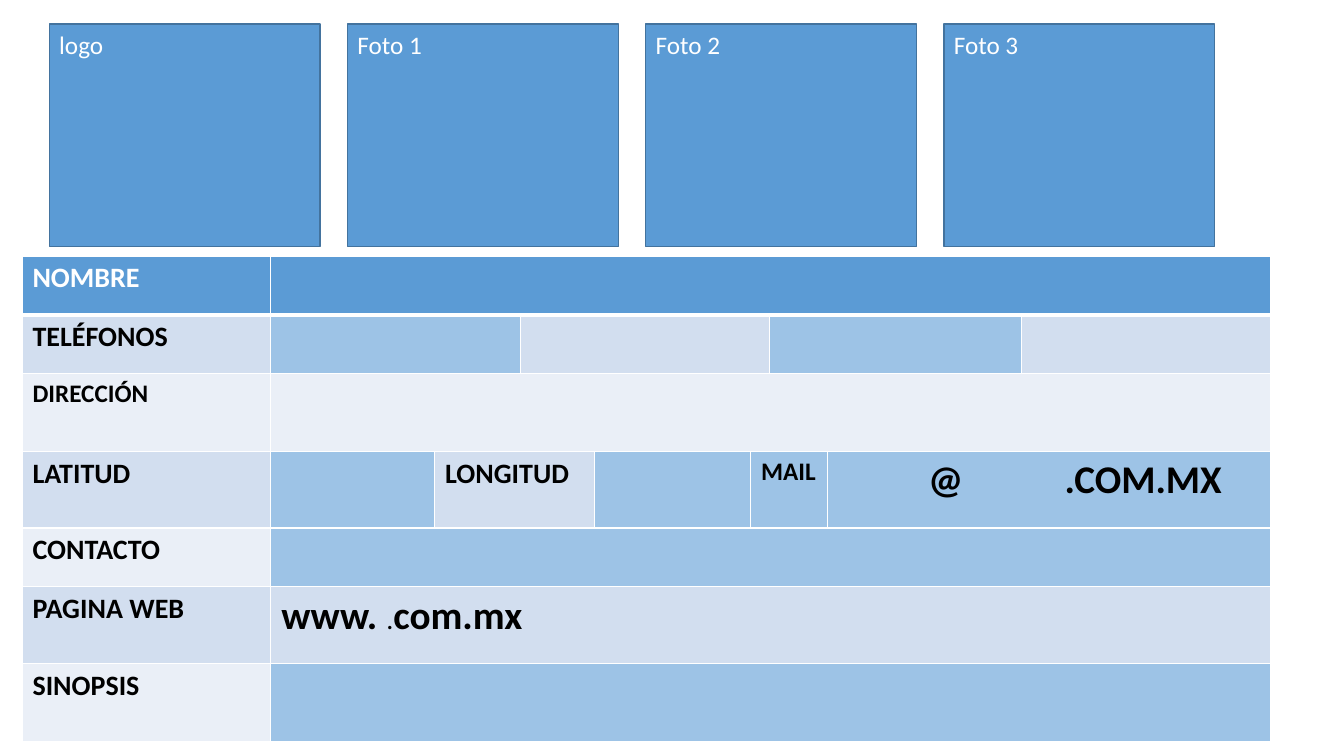
from dataclasses import dataclass

from lxml import etree
from pptx import Presentation
from pptx.dml.color import RGBColor
from pptx.enum.shapes import MSO_SHAPE
from pptx.enum.text import MSO_ANCHOR, PP_ALIGN
from pptx.oxml.ns import qn
from pptx.util import Emu, Pt

RECTANGLE = MSO_SHAPE.RECTANGLE
TOP = MSO_ANCHOR.TOP
LEFT = PP_ALIGN.LEFT
EMU_PER_PX = 9525


@dataclass(frozen=True)
class Theme:
    font: str = "Calibri"
    white: str = "FFFFFF"
    black: str = "000000"
    blue: str = "5B9BD5"
    outline: str = "43739E"
    field: str = "9DC3E6"
    band: str = "D2DEEF"
    pale: str = "EAEFF7"
    small: int = 18
    label: int = 20
    large: int = 28
    thin: int = 1
    thick: int = 3


@dataclass(frozen=True)
class Span:
    text: str
    size: int
    bold: bool = True
    color: str = Theme.black


@dataclass(frozen=True)
class Field:
    """A table cell covering one or more grid columns."""
    fill: str
    spans: tuple[Span, ...] = ()
    columns: int = 1
    inset: int = 10
    tab: int = 0


THEME = Theme()
PAGE_SIZE = (1280, 720)
PHOTO_LABELS = ("logo", "Foto 1", "Foto 2", "Foto 3")
PHOTO_LEFT, PHOTO_TOP, PHOTO_WIDTH, PHOTO_HEIGHT, PHOTO_PITCH = 47, 23, 258, 212, 284
TABLE_LEFT, TABLE_TOP = 21, 244
COLUMN_WIDTHS = (237, 156, 82, 70, 149, 18, 55, 185, 237)
ROW_HEIGHTS = (56, 56, 74, 73, 56, 73, 74)


def px(length: int) -> Emu:
    return Emu(length * EMU_PER_PX)


def label(text: str, fill: str, size: int = THEME.label,
          color: str = THEME.black, columns: int = 1) -> Field:
    return Field(fill, (Span(text, size, color=color),), columns)


def wide(fill: str, *spans: Span) -> Field:
    """A field that fills the row to the right of its label."""
    return Field(fill, spans, len(COLUMN_WIDTHS) - 1)


MAIL = Field(
    THEME.field,
    (Span("@", THEME.large), Span("\t", THEME.small, False), Span(".COM.MX", THEME.large)),
    columns=2, inset=96, tab=130,
)
WEB = wide(
    THEME.band,
    Span("www. ", THEME.large), Span(".", THEME.label, False), Span("com.mx", THEME.large),
)
ROWS = (
    (label("NOMBRE", THEME.blue, color=THEME.white), wide(THEME.blue)),
    (label("TELÉFONOS", THEME.band), Field(THEME.field, columns=2),
     Field(THEME.band, columns=3), Field(THEME.field, columns=2), Field(THEME.band)),
    (label("DIRECCIÓN", THEME.pale, THEME.small), wide(THEME.pale)),
    (label("LATITUD", THEME.band), Field(THEME.field),
     label("LONGITUD", THEME.band, columns=2), Field(THEME.field),
     label("MAIL", THEME.field, THEME.small, columns=2), MAIL),
    (label("CONTACTO", THEME.pale), wide(THEME.field)),
    (label("PAGINA WEB", THEME.band), WEB),
    (label("SINOPSIS", THEME.pale), wide(THEME.field)),
)


def add_span(para, span: Span) -> None:
    run = para.add_run()
    run.text = span.text
    run.font.name = THEME.font
    run.font.size = Pt(span.size)
    run.font.bold = span.bold
    run.font.color.rgb = RGBColor.from_string(span.color)


def add_photo_box(page, index: int, text: str) -> None:
    left = PHOTO_LEFT + index * PHOTO_PITCH
    box = page.shapes.add_shape(
        RECTANGLE, px(left), px(PHOTO_TOP), px(PHOTO_WIDTH), px(PHOTO_HEIGHT))
    box.shadow.inherit = False
    box.fill.solid()
    box.fill.fore_color.rgb = RGBColor.from_string(THEME.blue)
    box.line.color.rgb = RGBColor.from_string(THEME.outline)
    box.line.width = Pt(THEME.thin)
    box.text_frame.word_wrap = True
    box.text_frame.vertical_anchor = TOP
    para = box.text_frame.paragraphs[0]
    para.alignment = LEFT
    add_span(para, Span(text, THEME.small, False, THEME.white))


def set_borders(cell, row: int) -> None:
    """White rules, thicker below the heading row."""
    properties = cell._tc.get_or_add_tcPr()
    top = THEME.thick if row == 1 else THEME.thin
    bottom = THEME.thick if row == 0 else THEME.thin
    sides = {"lnL": THEME.thin, "lnR": THEME.thin, "lnT": top, "lnB": bottom}
    for side, width in sides.items():
        line = etree.SubElement(properties, qn(f"a:{side}"), w=str(Pt(width)))
        fill = etree.SubElement(line, qn("a:solidFill"))
        etree.SubElement(fill, qn("a:srgbClr"), val=THEME.white)


def add_tab_stop(para, position: int) -> None:
    stops = etree.SubElement(para._p.get_or_add_pPr(), qn("a:tabLst"))
    etree.SubElement(stops, qn("a:tab"), pos=str(px(position)), algn="l")


def fill_field(table, row: int, column: int, field: Field) -> None:
    last = column + field.columns - 1
    for position in range(column, last + 1):
        cell = table.cell(row, position)
        set_borders(cell, row)
        cell.fill.solid()
        cell.fill.fore_color.rgb = RGBColor.from_string(field.fill)
    cell = table.cell(row, column)
    if last > column:
        cell.merge(table.cell(row, last))
    cell.margin_left = px(field.inset)
    cell.vertical_anchor = TOP
    para = cell.text_frame.paragraphs[0]
    if field.tab:
        add_tab_stop(para, field.tab)
    for span in field.spans:
        add_span(para, span)


def add_record_table(page) -> None:
    table = page.shapes.add_table(
        len(ROW_HEIGHTS), len(COLUMN_WIDTHS), px(TABLE_LEFT), px(TABLE_TOP),
        px(sum(COLUMN_WIDTHS)), px(sum(ROW_HEIGHTS))).table
    table.horz_banding = False
    for column, width in zip(table.columns, COLUMN_WIDTHS):
        column.width = px(width)
    for row, height in zip(table.rows, ROW_HEIGHTS):
        row.height = px(height)
    for row, fields in enumerate(ROWS):
        column = 0
        for field in fields:
            fill_field(table, row, column, field)
            column += field.columns


def main() -> None:
    deck = Presentation()
    deck.slide_width, deck.slide_height = map(px, PAGE_SIZE)
    page = deck.slides.add_slide(deck.slide_layouts.get_by_name("Blank"))
    for index, text in enumerate(PHOTO_LABELS):
        add_photo_box(page, index, text)
    add_record_table(page)
    deck.save("out.pptx")


if __name__ == "__main__":
    main()
